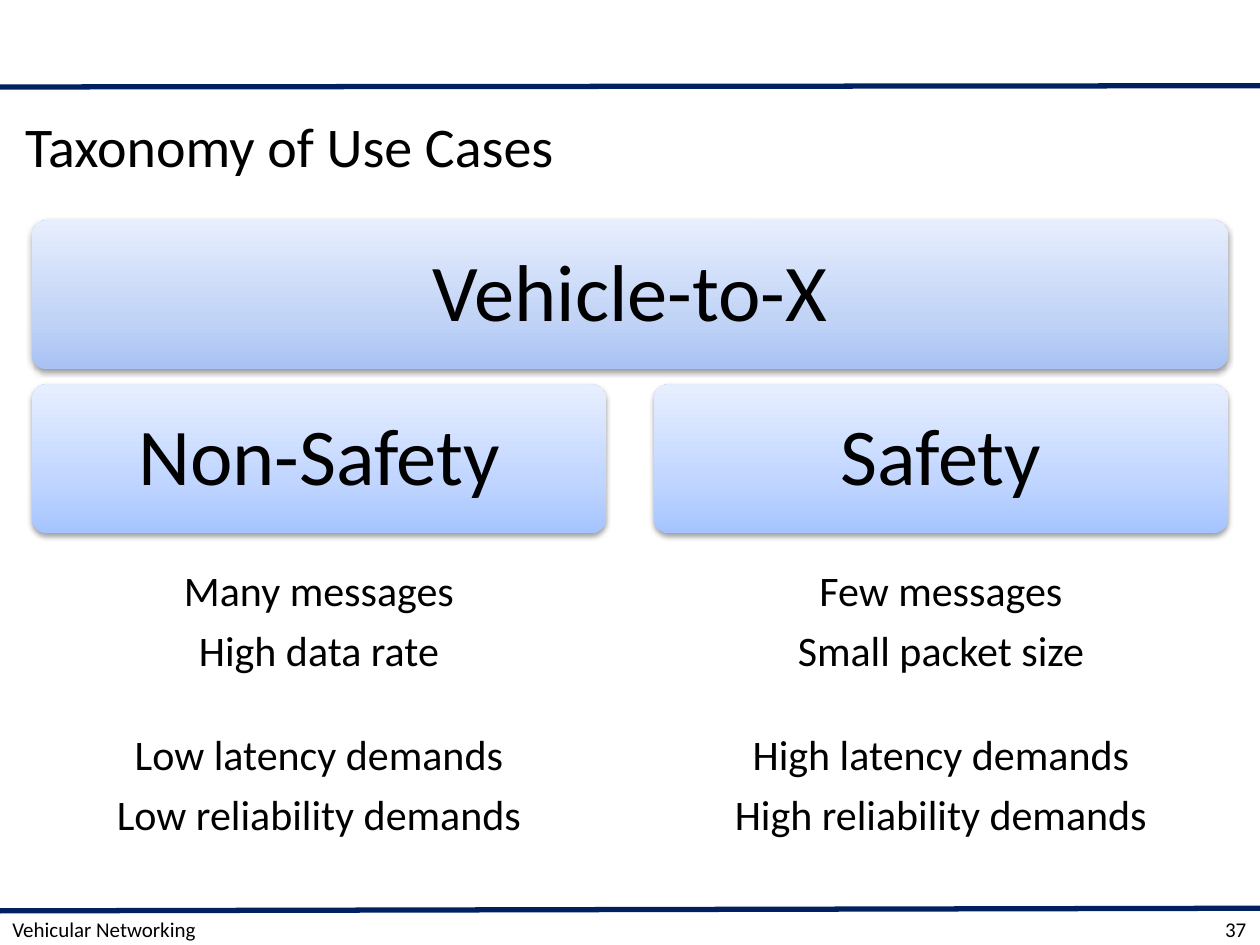
import copy
import pptx
import pptx.dml.color
import pptx.enum.shapes
import pptx.enum.text
import pptx.oxml
import pptx.oxml.ns
import pptx.util

Pt = pptx.util.Pt
RGB = pptx.dml.color.RGBColor
ALIGN = pptx.enum.text.PP_ALIGN
SHAPE = pptx.enum.shapes.MSO_SHAPE
qn = pptx.oxml.ns.qn
NS = pptx.oxml.ns.nsdecls("a")

BLACK = RGB(0, 0, 0)
NAVY = RGB(0x00, 0x20, 0x60)
ROOT = [RGB(0xA8, 0xC2, 0xF4), RGB(0xC2, 0xD4, 0xF6), RGB(0xE7, 0xEE, 0xFD)]
LEAF = [RGB(0xA5, 0xC4, 0xFF), RGB(0xC0, 0xD5, 0xFF), RGB(0xE7, 0xEF, 0xFF)]
SHADOW = (f'<a:outerShdw {NS} blurRad="40000" dist="20000" dir="5400000" rotWithShape="0">'
          '<a:srgbClr val="000000"><a:alpha val="38000"/></a:srgbClr></a:outerShdw>')


def write(shape, lines, size, align, pad, gap=0, lead=1):
    frame = shape.text_frame
    frame.word_wrap = True
    frame.vertical_anchor = pptx.enum.text.MSO_ANCHOR.MIDDLE
    frame.margin_left = frame.margin_right = Pt(pad[0])
    frame.margin_top = frame.margin_bottom = Pt(pad[1])
    for i, line in enumerate(lines):
        para = frame.add_paragraph() if i else frame.paragraphs[0]
        para.alignment = align
        para.line_spacing = lead
        para.space_after = Pt(gap)
        run = para.add_run()
        run.text = line
        run.font.size = Pt(size)
        run.font.name = "Calibri"
        run.font.color.rgb = BLACK


def add_card(left, top, width, label, shades):
    card = slide.shapes.add_shape(SHAPE.ROUNDED_RECTANGLE, Pt(left), Pt(top),
                                  Pt(width), Pt(85))
    card.adjustments[0] = 0.1
    card.line.fill.background()
    # Three-stop gradient, darkest at the bottom
    card.fill.gradient()
    card.fill.gradient_angle = 90
    props = card._element.spPr
    stops = props.find(".//" + qn("a:gsLst"))
    stops.insert(1, copy.deepcopy(stops[0]))
    for stop, shade, place in zip(card.fill.gradient_stops, shades, (0, 0.35, 1)):
        stop.color.rgb = shade
        stop.position = place
    # Soft shadow below
    card.shadow.inherit = False
    props.find(qn("a:effectLst")).append(pptx.oxml.parse_xml(SHADOW))
    write(card, [label], 46, ALIGN.CENTER, (16, 16), lead=0.9)


deck = pptx.Presentation()
deck.slide_width, deck.slide_height = Pt(720), Pt(540)
slide = deck.slides.add_slide(deck.slide_layouts[5])

# Rules above and below the content
for start, end in ((520.5, 519), (49.7, 49)):
    rule = slide.shapes.add_connector(pptx.enum.shapes.MSO_CONNECTOR.STRAIGHT,
                                      Pt(0), Pt(start), Pt(720), Pt(end))
    rule.line.color.rgb = NAVY
    rule.line.width = Pt(3)
    rule._element.spPr.append(pptx.oxml.parse_xml(f"<a:effectLst {NS}/>"))

# Title
title = slide.shapes.title
title.left, title.top, title.width, title.height = Pt(0), Pt(54), Pt(720), Pt(57.6)
write(title, ["Taxonomy of Use Cases"], 32, ALIGN.LEFT, (14.4, 3.6))

# Taxonomy: root card, then one column per class
add_card(18.2, 126, 683.6, "Vehicle-to-X", ROOT)
classes = [
    ("Non-Safety", [["Many messages", "High data rate"],
                    ["Low latency demands", "Low reliability demands"]]),
    ("Safety", [["Few messages", "Small packet size"],
                ["High latency demands", "High reliability demands"]]),
]
for col, (label, groups) in enumerate(classes):
    left = 18.2 + col * 355.4
    add_card(left, 219.7, 328.2, label, LEAF)
    for row, lines in enumerate(groups):
        box = slide.shapes.add_textbox(Pt(left + 2.5), Pt(316 + row * 93.7),
                                       Pt(323.2), Pt(80))
        write(box, lines, 24, ALIGN.CENTER, (7.2, 7.2), gap=8, lead=0.9)

# Footer and page number
for left, width, words, align in ((0, 720, "Vehicular Networking", ALIGN.LEFT),
                                  (635.8, 83.5, "37", ALIGN.RIGHT)):
    box = slide.shapes.add_textbox(Pt(left), Pt(522), Pt(width), Pt(18))
    write(box, [words], 12, align, (7.2, 3.6))

deck.save("out.pptx")
